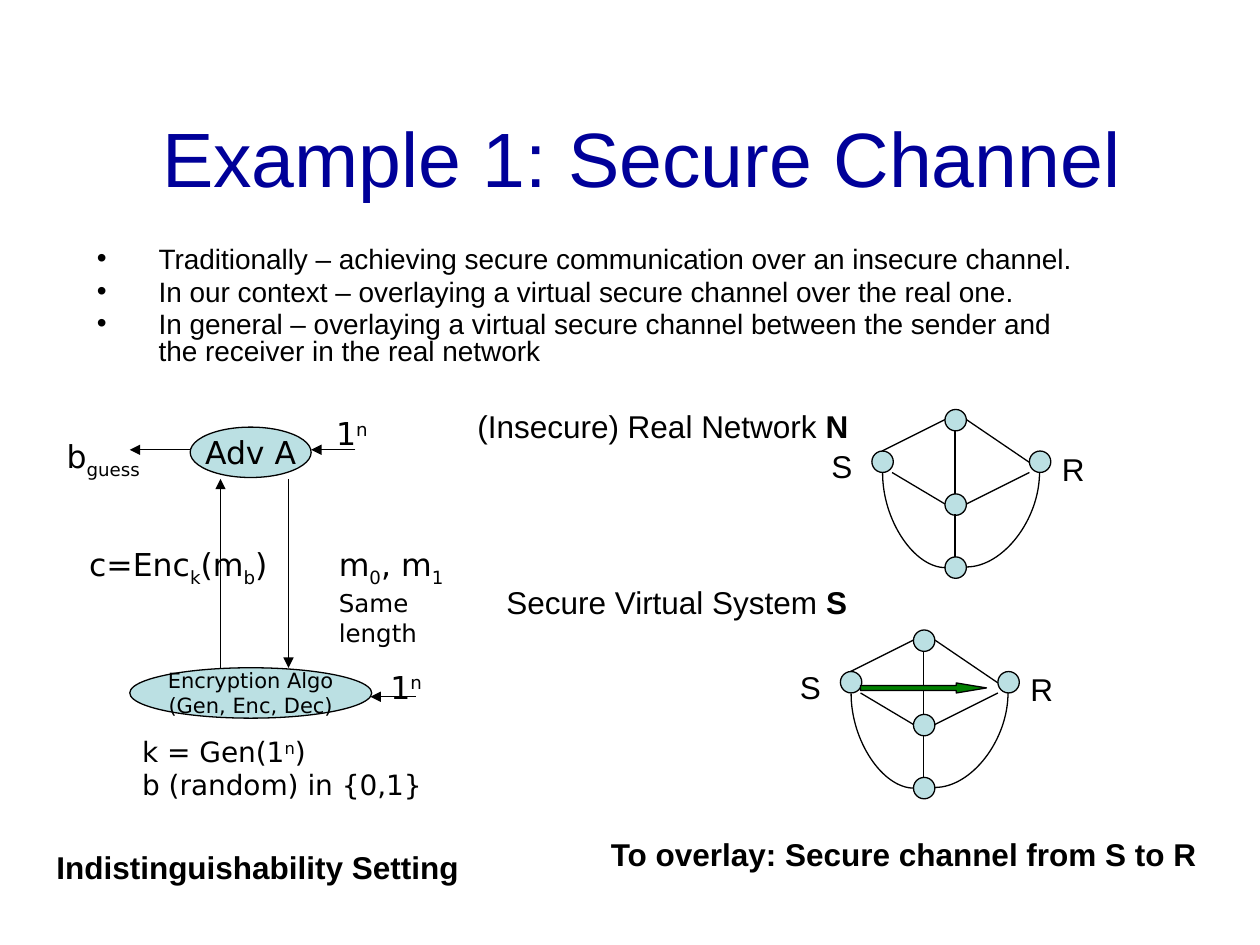
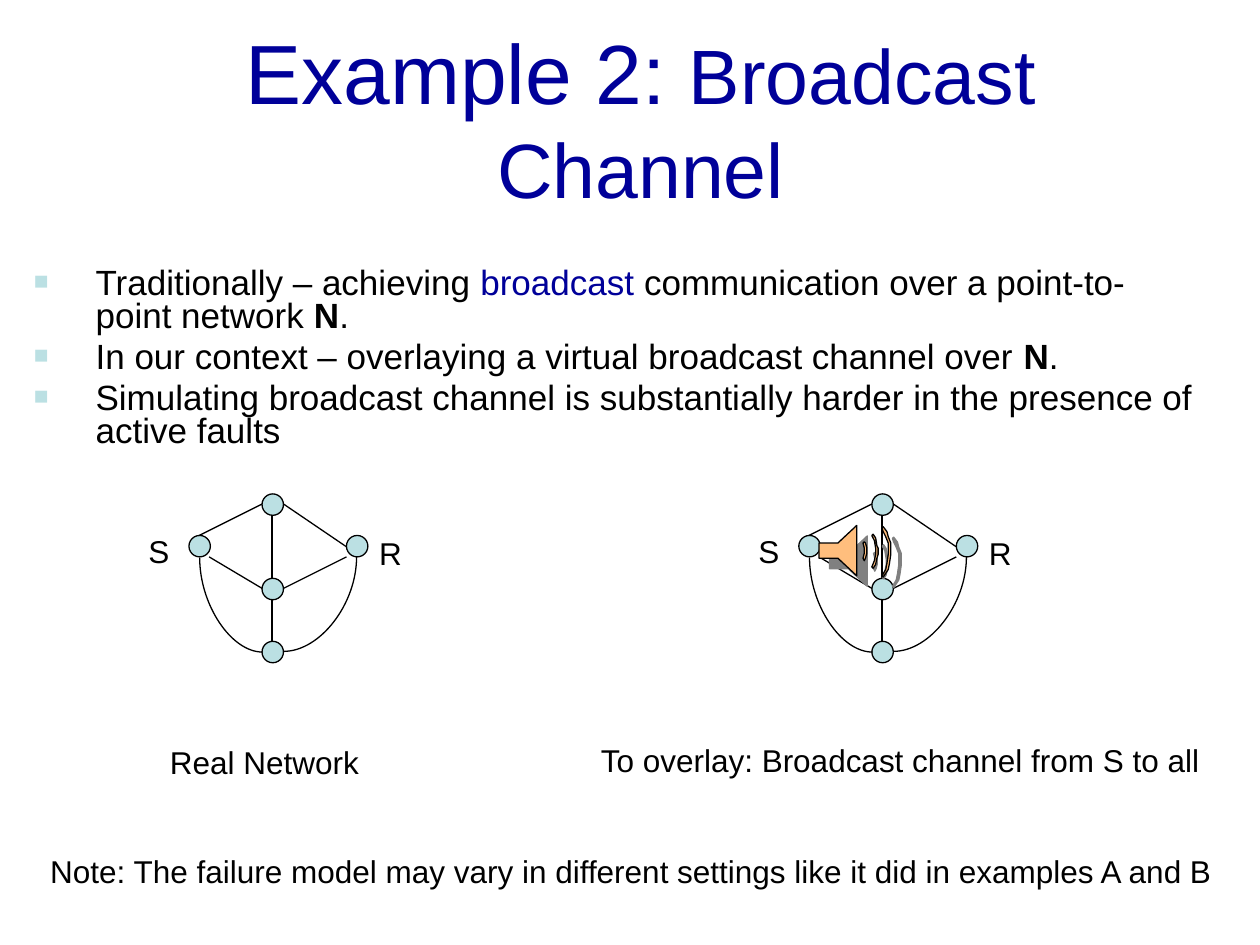
"""Builds two slides on overlaying virtual channels on a real network."""
from lxml import etree
from pptx import Presentation
from pptx.dml.color import RGBColor
from pptx.enum.shapes import MSO_CONNECTOR, MSO_SHAPE
from pptx.enum.text import MSO_ANCHOR, MSO_AUTO_SIZE, PP_ALIGN
from pptx.oxml.ns import qn
from pptx.util import Inches, Pt

STRAIGHT, CURVE = MSO_CONNECTOR.STRAIGHT, MSO_CONNECTOR.CURVE
OVAL, RIGHT_ARROW = MSO_SHAPE.OVAL, MSO_SHAPE.RIGHT_ARROW
MIDDLE, BOTTOM = MSO_ANCHOR.MIDDLE, MSO_ANCHOR.BOTTOM
LEFT, CENTER = PP_ALIGN.LEFT, PP_ALIGN.CENTER
GROW, FIXED = MSO_AUTO_SIZE.SHAPE_TO_FIT_TEXT, MSO_AUTO_SIZE.NONE

COLORS = {"title": "000099", "ink": "000000", "node": "BBE0E3",
          "channel": "008000", "speaker": "FFBE7D", "shadow": "808080"}
SANS, MATH = "Arial", "DejaVu Sans"
TITLE_ONLY = 5
NODE = 0.17
BOLD, SUB, SUPER = {"bold": True}, {"baseline": -25}, {"baseline": 30}

SPEAKER = [
    [(650, 431), (665, 431), (680, 417), (680, 457), (665, 443), (650, 443)],
    [(685, 431), (686, 430), (687, 431), (688, 435), (688, 439), (687, 443),
     (686, 445), (685, 443), (686, 439), (686, 435)],
    [(693, 424), (695, 427), (696, 433), (697, 435), (697, 440), (696, 443),
     (695, 448), (693, 451), (692, 450), (694, 445), (695, 440), (695, 435),
     (694, 429), (692, 425)],
    [(700, 419), (701, 418), (704, 422), (705, 426), (707, 431), (707, 440),
     (706, 447), (705, 452), (701, 458), (700, 457), (703, 452), (704, 447),
     (705, 440), (705, 431), (703, 426), (701, 422)],
]


def rgb(name):
    """Return the named palette colour."""
    return RGBColor.from_string(COLORS[name])


def write(frame, paragraphs, size=18, font=SANS, color="ink", align=LEFT, bullet=None):
    """Fill a frame with paragraphs of plain or individually formatted pieces."""
    for index, pieces in enumerate(paragraphs):
        paragraph = frame.add_paragraph() if index else frame.paragraphs[0]
        paragraph.alignment = align
        if bullet:
            paragraph.line_spacing = 0.8
            paragraph.space_before = Pt(size * 0.2)
            add_bullet(paragraph, **bullet)
        for piece in pieces:
            text, own = (piece, {}) if isinstance(piece, str) else piece
            run = paragraph.add_run()
            run.text = text
            run.font.name = font
            run.font.size = Pt(own.get("size", size))
            run.font.bold = own.get("bold", False)
            run.font.color.rgb = rgb(own.get("color", color))
            if "baseline" in own:
                run._r.get_or_add_rPr().set("baseline", str(own["baseline"] * 1000))


def add_bullet(paragraph, char, color="ink", percent=100):
    """Give a paragraph a hanging bullet."""
    properties = paragraph._p.get_or_add_pPr()
    properties.set("marL", str(Inches(0.49)))
    properties.set("indent", str(-Inches(0.49)))
    holder = etree.SubElement(properties, qn("a:buClr"))
    etree.SubElement(holder, qn("a:srgbClr"), val=COLORS[color])
    etree.SubElement(properties, qn("a:buSzPct"), val=str(percent * 1000))
    etree.SubElement(properties, qn("a:buFont"), typeface=SANS)
    etree.SubElement(properties, qn("a:buChar"), char=char)


class Deck:
    """Holds the presentation style and the current slide."""

    def __init__(self):
        """Start an empty presentation."""
        self.presentation = Presentation()
        self.presentation.slide_width = Inches(10)
        self.presentation.slide_height = Inches(7.5)
        self.shapes = None

    def slide(self, pieces, left, top, width, height):
        """Begin a slide with a placed title."""
        layout = self.presentation.slide_layouts[TITLE_ONLY]
        self.shapes = self.presentation.slides.add_slide(layout).shapes
        title = self.shapes.title
        title.left, title.top = Inches(left), Inches(top)
        title.width, title.height = Inches(width), Inches(height)
        title.text_frame.auto_size = FIXED
        title.text_frame.word_wrap = True
        title.text_frame.vertical_anchor = BOTTOM
        write(title.text_frame, [pieces], size=44, color="title", align=CENTER)

    def text(self, paragraphs, left, top, width, height=0.4, wrap=False, **style):
        """Add a text box."""
        box = self.shapes.add_textbox(Inches(left), Inches(top), Inches(width), Inches(height))
        box.text_frame.word_wrap = wrap
        box.text_frame.auto_size = FIXED if wrap else GROW
        write(box.text_frame, paragraphs, **style)

    def paint(self, shape, fill):
        """Apply the outlined flat look."""
        shape.shadow.inherit = False
        shape.fill.solid()
        shape.fill.fore_color.rgb = rgb(fill)
        shape.line.color.rgb = rgb("ink")
        shape.line.width = Pt(0.75)

    def shape(self, kind, left, top, width, height, fill="node", paragraphs=(), **style):
        """Add a preset shape, with centred text if any."""
        shape = self.shapes.add_shape(kind, Inches(left), Inches(top), Inches(width), Inches(height))
        self.paint(shape, fill)
        shape.text_frame.word_wrap = False
        shape.text_frame.vertical_anchor = MIDDLE
        write(shape.text_frame, paragraphs, align=CENTER, **style)
        return shape

    def line(self, x1, y1, x2, y2, kind=STRAIGHT, arrow=False):
        """Add a connector, with an arrowhead at its end on request."""
        line = self.shapes.add_connector(kind, Inches(x1), Inches(y1), Inches(x2), Inches(y2))
        line.line.color.rgb = rgb("ink")
        line.line.width = Pt(0.75)
        properties = line.element.spPr
        if arrow:
            etree.SubElement(properties.find(qn("a:ln")), qn("a:tailEnd"), type="triangle")
        etree.SubElement(properties, qn("a:effectLst"))
        return properties

    def arc(self, x1, y1, x2, y2, turn=0):
        """Add a quarter-turn curve, rotated by whole degrees."""
        properties = self.line(x1, y1, x2, y2, kind=CURVE)
        properties.find(qn("a:prstGeom")).set("prst", "curvedConnector2")
        if turn:
            properties.find(qn("a:xfrm")).set("rot", str(turn * 60000))

    def network(self, x, y):
        """Draw the five-node network between S and R."""
        for dx, dy in [(0.42, 0.33), (1, 0), (1.67, 0.33), (1, 0.67), (1, 1.17)]:
            self.shape(OVAL, x + dx, y + dy, NODE, NODE)
        for x1, y1, x2, y2 in [(0.5, 0.33, 1, 0.08), (0.58, 0.5, 1, 0.75),
                               (1.17, 0.08, 1.67, 0.42), (1.17, 0.75, 1.67, 0.5),
                               (1.08, 0.17, 1.08, 0.67), (1.08, 0.83, 1.08, 1.17)]:
            self.line(x + x1, y + y1, x + x2, y + y2)
        self.arc(x + 1.13, y + 0.63, x + 0.38, y + 1.13, turn=270)
        self.arc(x + 1.17, y + 1.25, x + 1.75, y + 0.5)
        self.text([["S"]], x, y + 0.25, 0.37)
        self.text([["R"]], x + 1.83, y + 0.27, 0.38)

    def outline(self, contours, fill):
        """Add a shadowed freeform from contours in hundredths of an inch."""
        first, *others = contours
        builder = self.shapes.build_freeform(*first[0], scale=Inches(0.01))
        builder.add_line_segments(first[1:], close=True)
        for contour in others:
            builder.move_to(*contour[0])
            builder.add_line_segments(contour[1:], close=True)
        shape = builder.convert_to_shape()
        self.paint(shape, fill)
        effects = shape.element.spPr.find(qn("a:effectLst"))
        shadow = etree.SubElement(effects, qn("a:outerShdw"), dist=str(Pt(8.5)),
                                  dir="2700000", algn="ctr", rotWithShape="0")
        etree.SubElement(shadow, qn("a:srgbClr"), val=COLORS["shadow"])


def secure_channel(deck):
    """Build the secure channel example."""
    deck.slide(["Example 1: Secure Channel"], 1.02, 0.11, 8.15, 1.55)
    deck.text([
        ["Traditionally – achieving secure communication over an insecure channel."],
        ["In our context – overlaying a virtual secure channel over the real one."],
        ["In general – overlaying a virtual secure channel between the sender and "
         "the receiver in the real network"],
    ], 0.67, 1.92, 8.08, 1.08, wrap=True, size=16, bullet={"char": "•"})

    deck.network(6.5, 3.25)
    deck.text([["(Insecure) Real Network ", ("N", BOLD)]], 3.69, 3.18, 3.15)
    deck.text([[("To overlay: Secure channel from S to R", BOLD)]], 4.75, 6.58, 4.87)
    deck.network(6.25, 5)
    channel = deck.shape(RIGHT_ARROW, 6.83, 5.42, 1, 0.08, fill="channel")
    channel.adjustments[1] = 3
    deck.text([[("Indistinguishability Setting", BOLD)]], 0.35, 6.68, 3.4)
    deck.text([["Secure Virtual System ", ("S", BOLD)]], 3.92, 4.58, 2.91)

    deck.shape(OVAL, 1.51, 3.39, 0.96, 0.4, paragraphs=[["Adv A"]], font=MATH)
    deck.shape(OVAL, 1.03, 5.3, 1.92, 0.4, font=MATH, size=12,
               paragraphs=[["Encryption Algo"], ["(Gen, Enc, Dec)"]])
    for ends in [(2.29, 3.8, 2.29, 5.3), (1.75, 5.3, 1.75, 3.8), (2.82, 3.57, 2.47, 3.57),
                 (3.3, 5.53, 2.94, 5.53), (1.51, 3.57, 1.03, 3.57)]:
        deck.line(*ends, arrow=True)
    small = {"size": 14}
    deck.text([["m", ("0", SUB), ", m", ("1", SUB)], [("Same", small)], [("length", small)]],
              2.59, 4.28, 1.08, 0.87, font=MATH)
    for left, top in [(2.57, 3.24), (3, 5.25)]:
        deck.text([["1", ("n", SUPER)]], left, top, 0.47, font=MATH)
    deck.text([["k = Gen(1", ("n", SUPER), ")"], ["b (random) in {0,1} "]],
              1.03, 5.78, 2.56, 0.63, font=MATH, size=16)
    deck.text([["c=Enc", ("k", SUB), "(m", ("b", SUB), ") "]], 0.61, 4.28, 1.74, font=MATH)
    deck.text([["b", ("guess", SUB)]], 0.43, 3.42, 0.84, font=MATH)


def broadcast_channel(deck):
    """Build the broadcast channel example."""
    deck.slide([("Example 2: ", {"size": 48}), "Broadcast Channel"], 1, 0.17, 8.17, 1.58)
    deck.text([
        ["Traditionally – achieving ", ("broadcast", {"color": "title"}),
         " communication over a point-to-point network ", ("N", BOLD), "."],
        ["In our context – overlaying a virtual broadcast channel over ", ("N", BOLD), "."],
        ["Simulating broadcast channel is substantially harder in the presence of active faults"],
    ], 0.17, 2.08, 9.42, 1.58, wrap=True, size=20,
        bullet={"char": "■", "color": "node", "percent": 70})
    for left in (1.08, 5.92):
        deck.network(left, 3.92)
    deck.text([["Real Network"]], 1.25, 5.85, 1.7)
    deck.text([["To overlay: Broadcast channel from S to all"]], 4.67, 5.83, 4.98)
    deck.outline(SPEAKER, "speaker")
    deck.text([["Note: The failure model may vary in different settings "
                "like it did in examples A and B"]], 0.3, 6.71, 9.45)


def main():
    """Build both slides and save the file."""
    deck = Deck()
    secure_channel(deck)
    broadcast_channel(deck)
    deck.presentation.save("out.pptx")


main()
